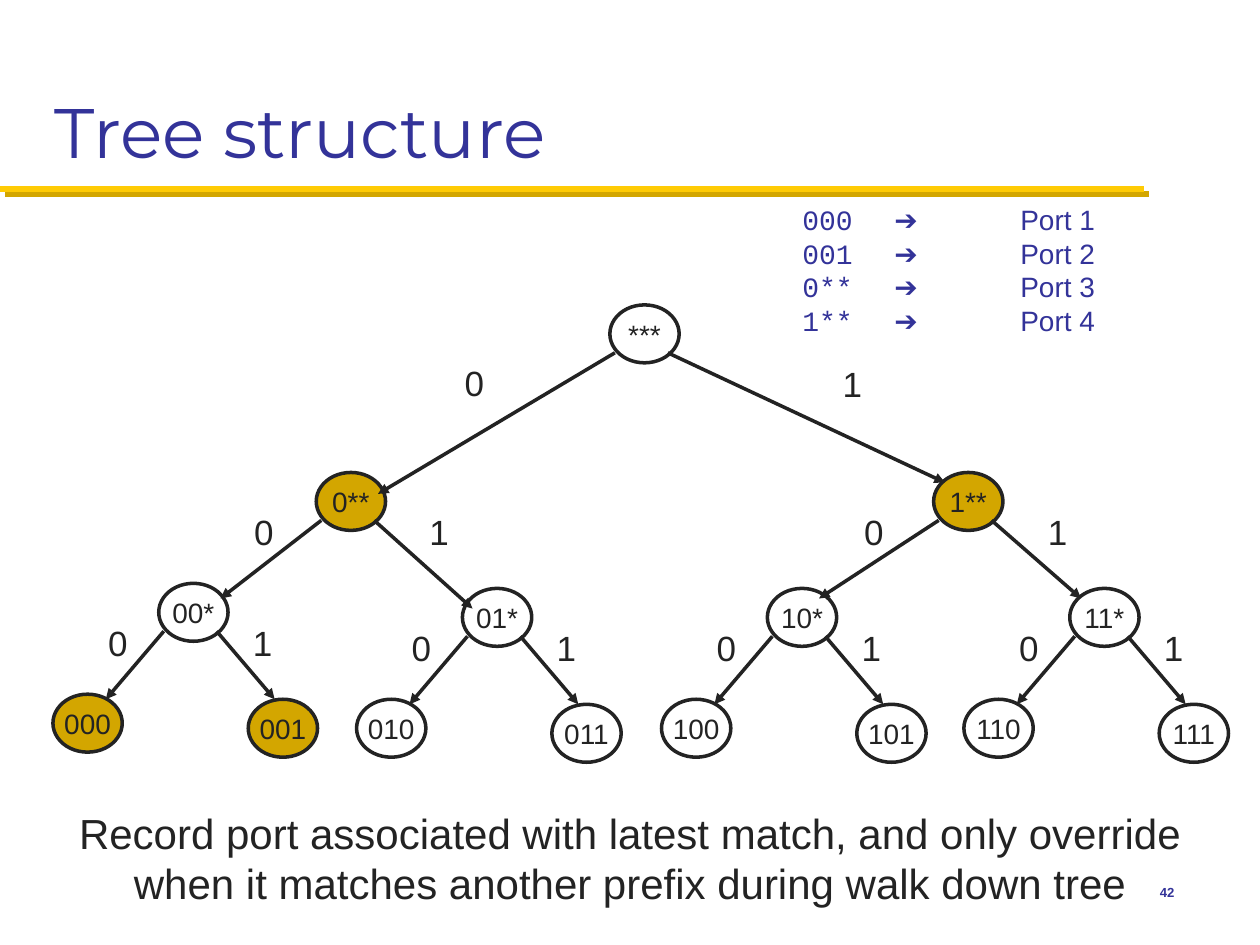
from dataclasses import dataclass
from lxml.etree import SubElement
from pptx import Presentation
from pptx.dml.color import RGBColor
from pptx.enum.shapes import MSO_CONNECTOR as LINK, MSO_SHAPE as SHAPE
from pptx.enum.text import MSO_ANCHOR as ANCHOR, MSO_AUTO_SIZE as FIT, PP_ALIGN as ALIGN
from pptx.oxml.ns import qn
from pptx.util import Inches, Pt


@dataclass(frozen=True)
class Theme:
    ink: str = "232323"
    blue: str = "333399"
    gold: str = "D3A600"
    yellow: str = "FFCB05"
    white: str = "FFFFFF"
    sans: str = "Arial"
    mono: str = "Courier New"
    head: str = "Montserrat"
    title: float = 40
    note: float = 24
    bit: float = 20
    node: float = 16
    page: float = 7.5


theme = Theme()
deck = Presentation()
deck.slide_width, deck.slide_height = Inches(10), Inches(7.5)
slide = deck.slides.add_slide(deck.slide_layouts[5])
shapes = slide.shapes


def write(para, text, size, color=theme.ink, face=theme.sans):
    """Add one formatted run and return its font."""
    run = para.add_run()
    run.text = text
    font = run.font
    font.size, font.name = Pt(size), face
    font.color.rgb = RGBColor.from_string(color)
    return font


def draw(start, end, color=theme.ink, width=2, arrow=True):
    """Draw a straight line, with an arrowhead at its end if wanted."""
    link = shapes.add_connector(LINK.STRAIGHT, *map(Inches, start + end))
    link.line.color.rgb = RGBColor.from_string(color)
    link.line.width = Pt(width)
    props = link._element.spPr
    if arrow:
        SubElement(props.find(qn("a:ln")), qn("a:tailEnd"), type="triangle")
    SubElement(props, qn("a:effectLst"))


# Title and its rule with a hard shade
draw((0.04, 1.54), (9.12, 1.54), theme.gold, 3.5, False)
draw((0, 1.5), (9.08, 1.5), theme.yellow, 3.5, False)
title = shapes.title
title.left, title.top = Inches(0.33), Inches(0.17)
title.width, title.height = Inches(9.33), Inches(1.25)
frame = title.text_frame
frame.auto_size, frame.vertical_anchor = FIT.NONE, ANCHOR.BOTTOM
frame.paragraphs[0].alignment = ALIGN.LEFT
write(frame.paragraphs[0], "Tree structure", theme.title, theme.blue, theme.head)

# Tree: nodes hold label, left, top; edges hold start and end; bits hold text, left, top
ports = {"000": "Port 1", "001": "Port 2", "0**": "Port 3", "1**": "Port 4"}
nodes, edges, bits = [], [], []

for stem, x, y in (("00", 1.26, 4.63), ("01", 3.67, 4.67),
                   ("10", 6.09, 4.67), ("11", 8.49, 4.67)):
    nodes += [(stem + "*", x, y), (stem + "0", x - 0.84, y + 0.88),
              (stem + "1", x + 0.71, y + 0.92)]
    edges += [((x + 0.04, y + 0.38), (x - 0.42, y + 0.92)),
              ((x + 0.46, y + 0.38), (x + 0.92, y + 0.92))]
    bits += [("0", x - 0.59, y + 0.25), ("1", x + 0.56, y + 0.25)]

# Upper nodes: label, left, top, ends of both edges, places of both bits
upper = (
    ("0**", 2.51, 3.75, ((1.75, 4.75), (3.75, 4.83)), ((1.83, 4), (3.22, 4))),
    ("1**", 7.41, 3.75, ((6.5, 4.75), (8.58, 4.75)), ((6.67, 4), (8.13, 4))),
    ("***", 4.84, 2.42, ((3, 3.92), (7.5, 3.83)), ((3.5, 2.82), (6.5, 2.83))),
)
for name, x, y, ends, spots in upper:
    nodes.append((name, x, y))
    for bit, (shift, end, spot) in enumerate(zip((0.04, 0.46), ends, spots)):
        edges.append(((x + shift, y + 0.38), end))
        bits.append((str(bit), *spot))

for name, x, y in nodes:
    oval = shapes.add_shape(SHAPE.OVAL, Inches(x), Inches(y), Inches(0.55), Inches(0.46))
    oval.shadow.inherit = False
    oval.fill.solid()
    oval.fill.fore_color.rgb = RGBColor.from_string(theme.gold if name in ports else theme.white)
    oval.line.color.rgb = RGBColor.from_string(theme.ink)
    oval.line.width = Pt(2)
    frame = oval.text_frame
    frame.word_wrap, frame.vertical_anchor = False, ANCHOR.MIDDLE
    frame.paragraphs[0].alignment = ALIGN.CENTER
    write(frame.paragraphs[0], name, theme.node)

for start, end in edges:
    draw(start, end)

for text, x, y in bits:
    box = shapes.add_textbox(Inches(x), Inches(y), Inches(0.53), Inches(0.43))
    box.text_frame.word_wrap = True
    para = box.text_frame.paragraphs[0]
    para.alignment = ALIGN.CENTER
    write(para, text, theme.bit)

# Port list
box = shapes.add_textbox(Inches(6.27), Inches(1.56), Inches(3.31), Inches(1.2))
frame = box.text_frame
frame.word_wrap = True
for row, (prefix, port) in enumerate(ports.items()):
    para = frame.add_paragraph() if row else frame.paragraphs[0]
    stops = SubElement(para._p.get_or_add_pPr(), qn("a:tabLst"))
    for stop in (0.73, 1.73):
        SubElement(stops, qn("a:tab"), pos=str(Inches(stop)), algn="l")
    write(para, prefix + "\t", theme.node, theme.blue, theme.mono)
    write(para, "➔\t" + port, theme.node, theme.blue)

# Closing note and page number
box = shapes.add_textbox(Inches(0.48), Inches(6.36), Inches(9.04), Inches(0.91))
box.text_frame.word_wrap = True
para = box.text_frame.paragraphs[0]
para.alignment = ALIGN.CENTER
write(para, "Record port associated with latest match, and only override "
      "when it matches another prefix during walk down tree", theme.note)

box = shapes.add_textbox(Inches(8.75), Inches(6.83), Inches(0.67), Inches(0.5))
frame = box.text_frame
frame.word_wrap, frame.vertical_anchor = True, ANCHOR.MIDDLE
frame.paragraphs[0].alignment = ALIGN.RIGHT
write(frame.paragraphs[0], "42", theme.page, theme.blue).bold = True

deck.save("out.pptx")
